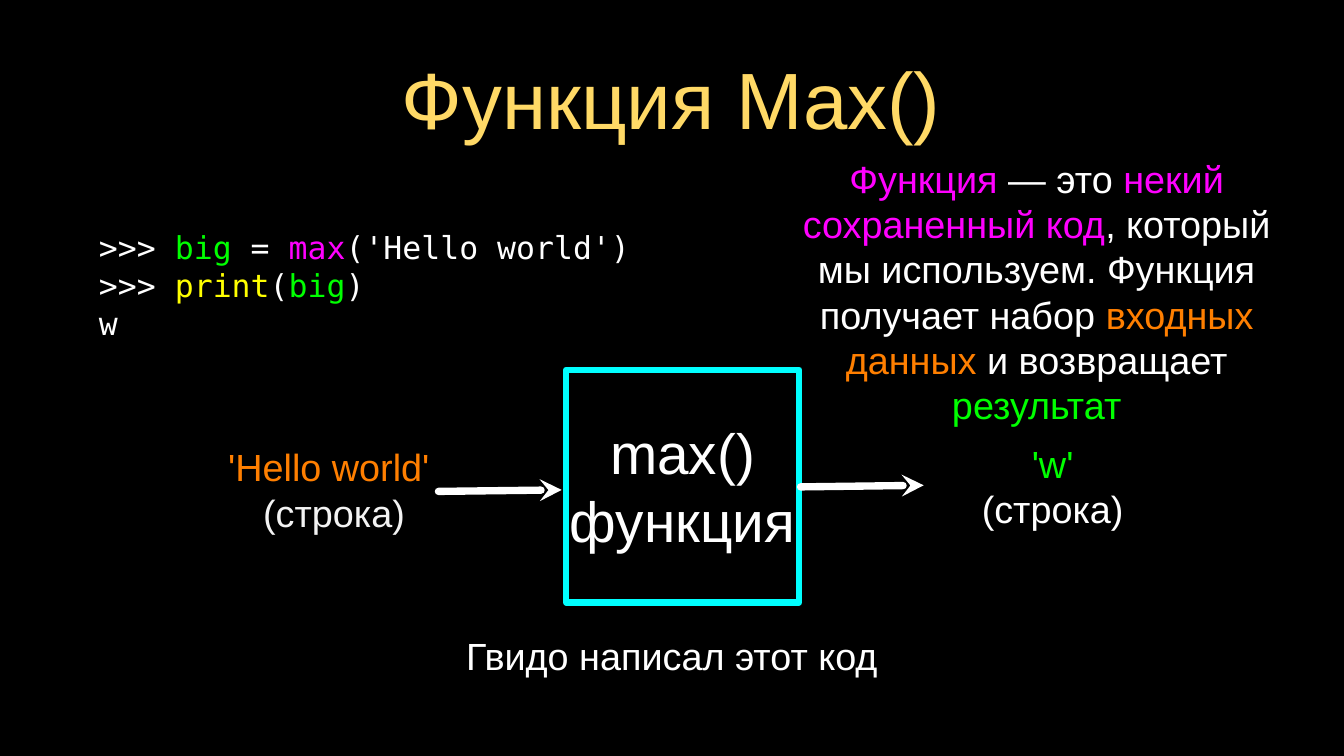
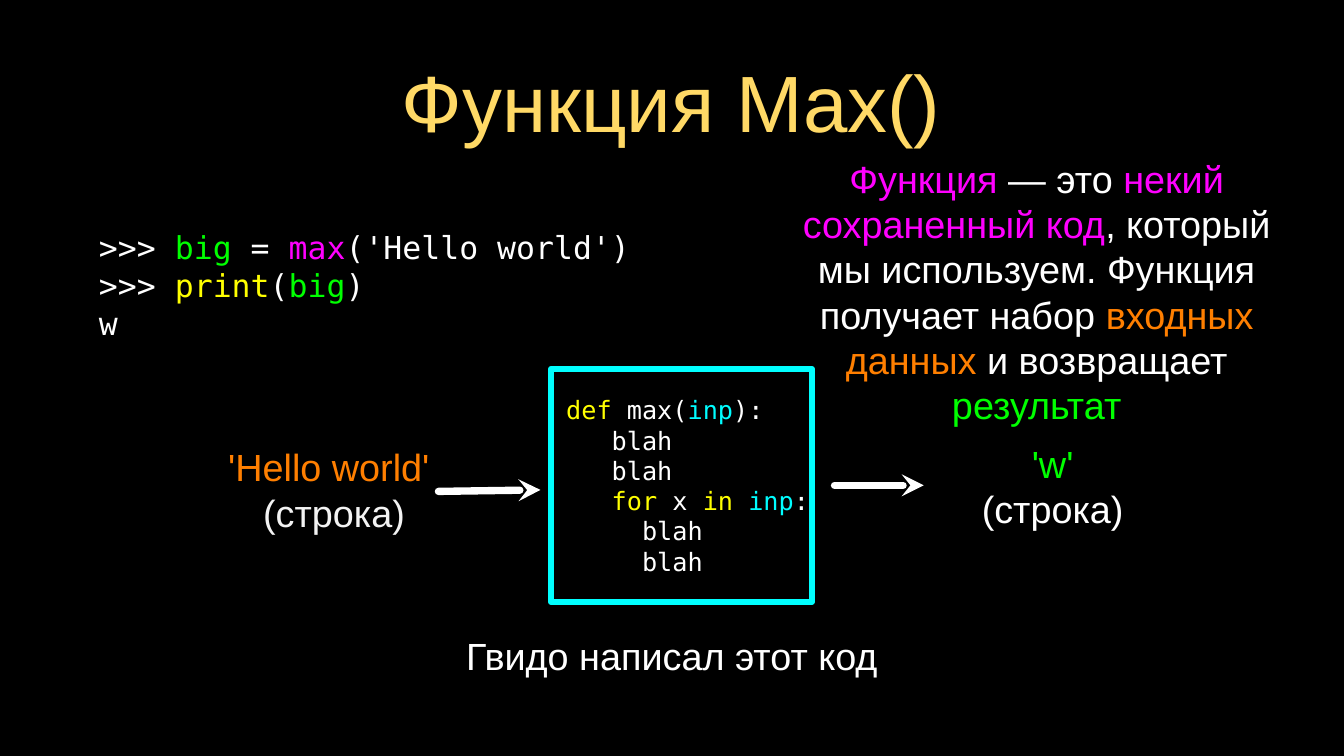
from lxml import etree
from pptx import Presentation
from pptx.dml.color import RGBColor
from pptx.enum.shapes import MSO_CONNECTOR, MSO_SHAPE
from pptx.enum.text import MSO_ANCHOR, PP_ALIGN
from pptx.oxml.ns import qn
from pptx.util import Pt

RECTANGLE = MSO_SHAPE.RECTANGLE
STRAIGHT = MSO_CONNECTOR.STRAIGHT
MIDDLE = MSO_ANCHOR.MIDDLE
LEFT, CENTER = PP_ALIGN.LEFT, PP_ALIGN.CENTER

BLACK = RGBColor(0x00, 0x00, 0x00)
WHITE = RGBColor(0xFF, 0xFF, 0xFF)
PALE = RGBColor(0xF3, 0xF3, 0xF3)
GOLD = RGBColor(0xFF, 0xD9, 0x66)
GREEN = RGBColor(0x00, 0xFF, 0x00)
MAGENTA = RGBColor(0xFF, 0x00, 0xFF)
YELLOW = RGBColor(0xFF, 0xFF, 0x00)
ORANGE = RGBColor(0xFF, 0x7F, 0x00)
CYAN = RGBColor(0x00, 0xFF, 0xFF)
INPUT_CYAN = RGBColor(0x00, 0xFD, 0xFF)

SANS = "Arial"
MONO = "DejaVu Sans Mono"
LINE_HEIGHT = 1.2

TITLE = [[("Функция Max()", GOLD)]]
SESSION = [
    [(">>> ", WHITE), ("big", GREEN), (" = ", WHITE), ("max", MAGENTA), ("('Hello world')", WHITE)],
    [(">>> ", WHITE), ("print", YELLOW), ("(", WHITE), ("big", GREEN), (")", WHITE)],
    [("w", WHITE)],
]
INPUT = [[("'Hello world' ", ORANGE)], [("(строка)", PALE)]]
OUTPUT = [[("'w'", GREEN)], [("(строка)", WHITE)]]
DEFINITION = [[
    ("Функция ", MAGENTA),
    ("— это ", WHITE),
    ("некий сохраненный код", MAGENTA),
    (", который мы используем. Функция получает набор ", WHITE),
    ("входных данных ", ORANGE),
    ("и возвращает ", WHITE),
    ("результат", GREEN),
]]
CAPTION = [[("Гвидо написал этот код", WHITE)]]
FUNCTION_NAME = [[("max()", WHITE)], [("функция", WHITE)]]
FUNCTION_CODE = [
    [(" def", YELLOW), (" max(", WHITE), ("inp", INPUT_CYAN), ("):", WHITE)],
    [("    blah", WHITE)],
    [("    blah", WHITE)],
    [("    for", YELLOW), (" x ", WHITE), ("in ", YELLOW), ("inp", INPUT_CYAN), (":", WHITE)],
    [("      blah", WHITE)],
    [("      blah", WHITE)],
]

SHARED_TEXTS = [
    ((94.3, 205.9, 561.6, 131), SESSION, 30, MONO, LEFT),
    ((205.9, 421.2, 224.6, 90), INPUT, 36, SANS, CENTER),
    ((916.6, 417.6, 172.1, 90), OUTPUT, 36, SANS, CENTER),
    ((761, 137.5, 452.9, 280.1), DEFINITION, 36, SANS, CENTER),
    ((431.3, 599.8, 417.6, 49), CAPTION, 36, SANS, CENTER),
]

SLIDES = [
    {
        "title_top": 45.4,
        "box": (539.3, 352.1, 221.8, 221.8),
        "box_text": (FUNCTION_NAME, 54, SANS, CENTER),
        "arrows": [(417.6, 468, 535, 466.6), (762.5, 463.7, 879.8, 462.2)],
    },
    {
        "title_top": 48.2,
        "box": (524.9, 351.4, 248.4, 221.8),
        "box_text": (FUNCTION_CODE, 24, MONO, LEFT),
        "arrows": [(417.6, 468, 514.8, 466.6), (794.9, 462.2, 879.8, 462.2)],
    },
]


def write_text(shape, lines, size, font_name, alignment):
    frame = shape.text_frame
    frame.word_wrap = True
    frame.vertical_anchor = MIDDLE
    frame.margin_left = frame.margin_right = frame.margin_top = frame.margin_bottom = 0
    for index, line in enumerate(lines):
        paragraph = frame.add_paragraph() if index else frame.paragraphs[0]
        paragraph.alignment = alignment
        paragraph.line_spacing = Pt(size * LINE_HEIGHT)
        for text, color in line:
            run = paragraph.add_run()
            run.text = text
            run.font.name = font_name
            run.font.size = Pt(size)
            run.font.color.rgb = color


def add_arrow(slide, ends):
    arrow = slide.shapes.add_connector(STRAIGHT, *map(Pt, ends))
    arrow.line.color.rgb = WHITE
    arrow.line.width = Pt(7)
    outline = arrow.line._get_or_add_ln()
    outline.set("cap", "rnd")
    etree.SubElement(outline, qn("a:round"))
    etree.SubElement(outline, qn("a:tailEnd"), type="stealth")
    etree.SubElement(arrow._element.spPr, qn("a:effectLst"))


presentation = Presentation()
presentation.slide_width = Pt(1280.16)
presentation.slide_height = Pt(720)
background = presentation.slide_master.background.fill
background.solid()
background.fore_color.rgb = BLACK

for content in SLIDES:
    slide = presentation.slides.add_slide(presentation.slide_layouts[6])

    title = slide.shapes.add_textbox(Pt(90.7), Pt(content["title_top"]), Pt(1097.3), Pt(95))
    write_text(title, TITLE, 76, SANS, CENTER)

    box = slide.shapes.add_shape(RECTANGLE, *map(Pt, content["box"]))
    box.shadow.inherit = False
    box.fill.background()
    box.line.color.rgb = CYAN
    box.line.width = Pt(6)
    write_text(box, *content["box_text"])

    for ends in content["arrows"]:
        add_arrow(slide, ends)

    for bounds, *text in SHARED_TEXTS:
        write_text(slide.shapes.add_textbox(*map(Pt, bounds)), *text)

presentation.save("out.pptx")
